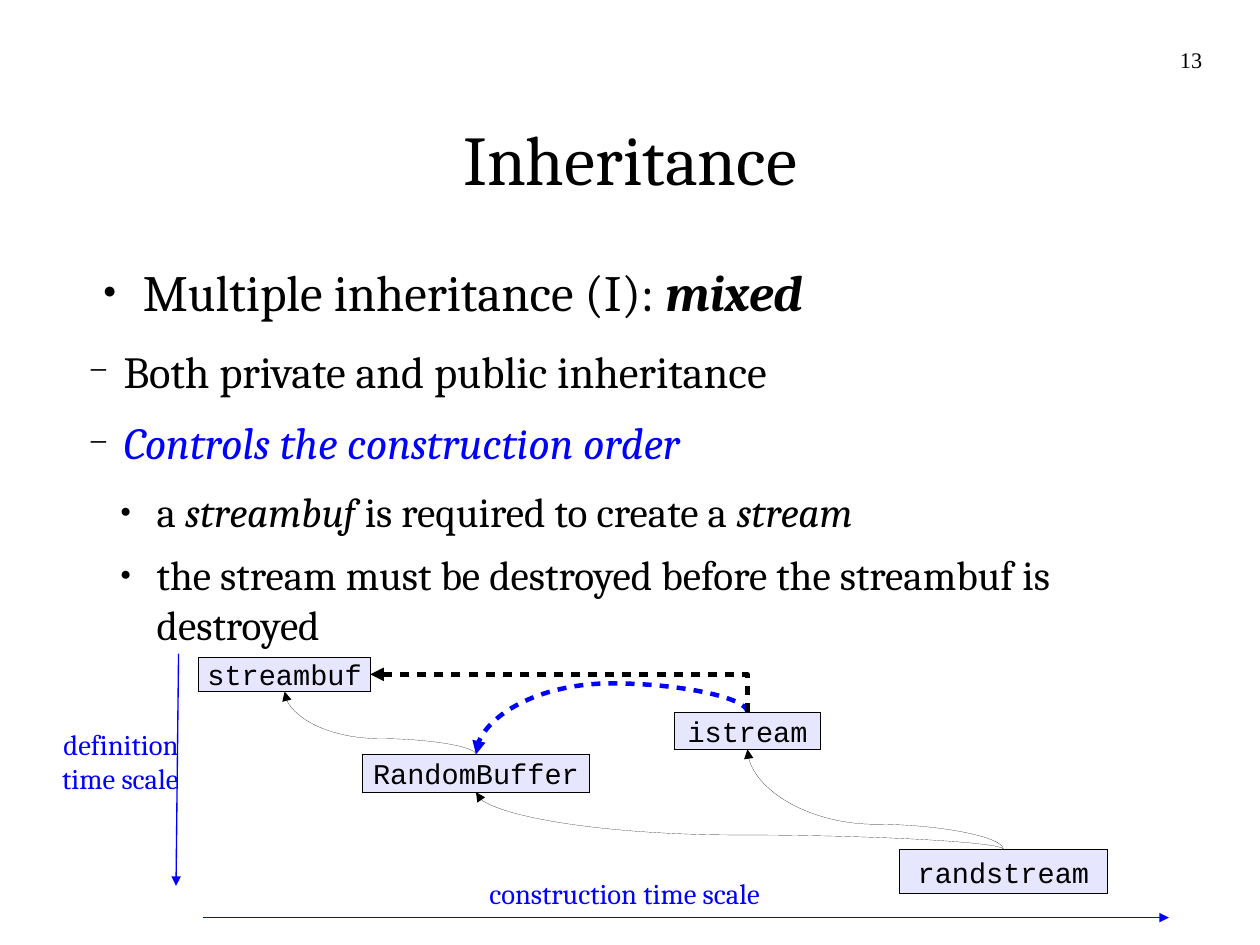
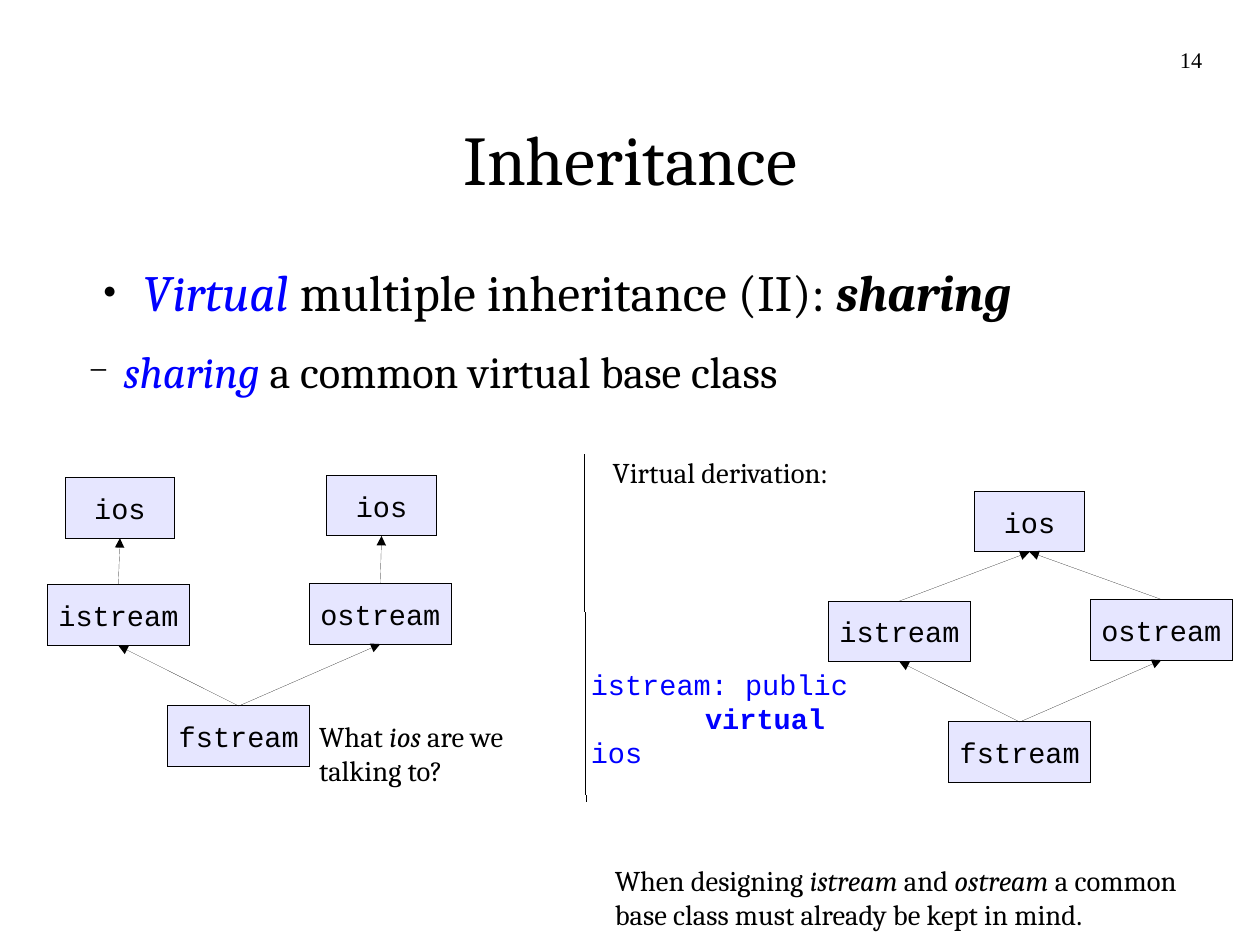
"""Build two lecture slides on multiple and virtual inheritance."""

import dataclasses
import typing

import lxml.etree
import pptx
import pptx.dml.color
import pptx.dml.line
import pptx.enum.shapes
import pptx.enum.text
import pptx.oxml.ns
import pptx.presentation
import pptx.shapes.autoshape
import pptx.shapes.connector
import pptx.slide
import pptx.text.text
import pptx.util

Pt = pptx.util.Pt
ALIGN = pptx.enum.text.PP_ALIGN
ANCHOR = pptx.enum.text.MSO_ANCHOR
CONNECTOR = pptx.enum.shapes.MSO_CONNECTOR

COLOURS = {"text": "000000", "accent": "0000FF", "box": "E6E6FF"}
SERIF, MONO, PLAIN = "Cambria", "Courier New", "Times New Roman"
TOP, BOTTOM = 0, 2


@dataclasses.dataclass(frozen=True)
class Run:
    """A stretch of text with its own emphasis."""
    text: str
    italic: bool = False
    bold: bool = False
    colour: str | None = None


@dataclasses.dataclass(frozen=True)
class Level:
    """The look of one outline level."""
    size: float
    margin: float
    indent: float
    space_after: float
    bullet: str
    bullet_percent: int


@dataclasses.dataclass(frozen=True)
class Item:
    """One bulleted line of the outline."""
    level: Level
    runs: tuple[Run, ...]


@dataclasses.dataclass(frozen=True)
class Box:
    """A class box with its name."""
    name: str
    left: float
    top: float
    width: float
    height: float = 38.2


Point = tuple[float, float]
Lines = typing.Sequence[typing.Sequence[Run]]

TOPIC = Level(32, 33.8, -25.2, 14.1, "●", 45)
POINT = Level(28, 21.6, -21.6, 11.3, "−", 75)
DETAIL = Level(26, 42.5, -23, 8.5, "●", 45)


def rgb(colour: str) -> pptx.dml.color.RGBColor:
    """Look up a named colour."""
    return pptx.dml.color.RGBColor.from_string(COLOURS[colour])


def add_child(parent: typing.Any, tag: str, **attributes: str) -> typing.Any:
    """Append a drawing element to its parent."""
    return lxml.etree.SubElement(parent, pptx.oxml.ns.qn(tag), attributes)


def write_text(frame: pptx.text.text.TextFrame, lines: Lines, *, size: float = 18,
               font: str = SERIF, colour: str = "text", align: ALIGN = ALIGN.LEFT,
               anchor: ANCHOR = ANCHOR.TOP, wrap: bool = False) -> None:
    """Fill a text frame with formatted lines."""
    frame.margin_left = frame.margin_right = frame.margin_top = frame.margin_bottom = 0
    frame.word_wrap = wrap
    frame.vertical_anchor = anchor
    for index, line in enumerate(lines):
        paragraph = frame.add_paragraph() if index else frame.paragraphs[0]
        paragraph.alignment = align
        for part in line:
            run = paragraph.add_run()
            run.text = part.text
            run.font.name = font
            run.font.size = Pt(size)
            run.font.bold = part.bold
            run.font.italic = part.italic
            run.font.color.rgb = rgb(part.colour or colour)


def add_text(slide: pptx.slide.Slide, place: tuple[float, float, float, float],
             lines: Lines, **style: typing.Any) -> pptx.text.text.TextFrame:
    """Add a text box and return its frame."""
    frame = slide.shapes.add_textbox(*map(Pt, place)).text_frame
    write_text(frame, lines, **style)
    return frame


def add_outline(slide: pptx.slide.Slide, items: typing.Sequence[Item]) -> None:
    """Add the bulleted body."""
    frame = add_text(slide, (56.2, 164.2, 677.5, 375), [item.runs for item in items], wrap=True)
    for paragraph, item in zip(frame.paragraphs, items):
        level = item.level
        for run in paragraph.runs:
            run.font.size = Pt(level.size)
        paragraph.space_after = Pt(level.space_after)
        properties = paragraph._p.get_or_add_pPr()
        properties.set("marL", str(int(Pt(level.margin))))
        properties.set("indent", str(int(Pt(level.indent))))
        add_child(add_child(properties, "a:buClr"), "a:srgbClr", val=COLOURS["text"])
        add_child(properties, "a:buSzPct", val=str(level.bullet_percent * 1000))
        add_child(properties, "a:buFont", typeface=PLAIN)
        add_child(properties, "a:buChar", char=level.bullet)


def style_line(line: pptx.dml.line.LineFormat, colour: str, width: float) -> typing.Any:
    """Colour a line, write its width even when zero, and return its element."""
    line.color.rgb = rgb(colour)
    element = line._get_or_add_ln()
    element.set("w", str(int(Pt(width))))
    return element


def add_box(slide: pptx.slide.Slide, box: Box) -> pptx.shapes.autoshape.Shape:
    """Draw a class box."""
    shape = slide.shapes.add_shape(pptx.enum.shapes.MSO_SHAPE.RECTANGLE, *map(
        Pt, (box.left, box.top, box.width, box.height)))
    shape.shadow.inherit = False
    shape.fill.solid()
    shape.fill.fore_color.rgb = rgb("box")
    style_line(shape.line, "text", 0)
    write_text(shape.text_frame, [[Run(box.name)]], font=MONO,
               align=ALIGN.CENTER, anchor=ANCHOR.MIDDLE)
    return shape


def add_line(slide: pptx.slide.Slide, start: Point, end: Point, *,
             kind: CONNECTOR = CONNECTOR.STRAIGHT, colour: str = "text", width: float = 0,
             dashed: bool = False, arrow: bool = True) -> pptx.shapes.connector.Connector:
    """Draw a connector, by default with an arrowhead at its end."""
    connector = slide.shapes.add_connector(kind, *map(Pt, (*start, *end)))
    outline = style_line(connector.line, colour, width)
    if dashed:
        add_child(add_child(outline, "a:custDash"), "a:ds", d="200000", sp="180000")
    if arrow:
        add_child(outline, "a:tailEnd", type="triangle")
    add_child(connector._element.spPr, "a:effectLst")
    return connector


def add_turned_line(slide: pptx.slide.Slide, start: Point, end: Point, *, preset: str,
                    bend: int | None = None, **style: typing.Any) -> None:
    """Draw a connector that leaves its start vertically and runs to the left."""
    rise, run = start[1] - end[1], start[0] - end[0]
    centre_x, centre_y = (start[0] + end[0]) / 2, (start[1] + end[1]) / 2
    half_width, half_height = abs(rise) / 2, run / 2
    kind = CONNECTOR.CURVE if preset.startswith("curved") else CONNECTOR.ELBOW
    connector = add_line(slide, (centre_x - half_width, centre_y - half_height),
                         (centre_x + half_width, centre_y + half_height), kind=kind, **style)
    properties = connector._element.spPr
    frame = properties.find(pptx.oxml.ns.qn("a:xfrm"))
    frame.set("rot", str((270 if rise > 0 else 90) * 60000))
    if rise > 0:
        frame.set("flipV", "1")
    geometry = properties.find(pptx.oxml.ns.qn("a:prstGeom"))
    geometry.set("prst", preset)
    if bend is not None:
        guides = geometry.find(pptx.oxml.ns.qn("a:avLst"))
        if guides is None:
            guides = add_child(geometry, "a:avLst")
        add_child(guides, "a:gd", name="adj1", fmla=f"val {bend}")


def derive(slide: pptx.slide.Slide, child: pptx.shapes.autoshape.Shape,
           parent: pptx.shapes.autoshape.Shape) -> None:
    """Join a derived class to its base class."""
    connector = add_line(slide, (0, 0), (0, 0))
    connector.begin_connect(child, TOP)
    connector.end_connect(parent, BOTTOM)


def add_stream_tree(slide: pptx.slide.Slide, left: float, top: float,
                    bases: typing.Sequence[Box]) -> None:
    """Draw the stream classes under one shared base or two separate ones."""
    roots = [add_box(slide, base) for base in bases]
    istream = add_box(slide, Box("istream", left, top + 1, 89.2))
    ostream = add_box(slide, Box("ostream", left + 165, top, 89.2))
    fstream = add_box(slide, Box("fstream", left + 75.8, top + 77.2, 89.2))
    for middle, root in ((istream, roots[0]), (ostream, roots[-1])):
        derive(slide, fstream, middle)
        derive(slide, middle, root)


def start_slide(presentation: pptx.presentation.Presentation, number: int,
                items: typing.Sequence[Item]) -> pptx.slide.Slide:
    """Add a slide with title, outline and page number."""
    slide = presentation.slides.add_slide(presentation.slide_layouts[6])
    add_text(slide, (58.3, 49.7, 677.5, 99.4), [[Run("Inheritance")]], size=44,
             align=ALIGN.CENTER, anchor=ANCHOR.MIDDLE, wrap=True)
    add_outline(slide, items)
    add_text(slide, (572.4, 29.2, 185, 41), [[Run(str(number))]], size=14,
             font=PLAIN, align=ALIGN.RIGHT, wrap=True)
    return slide


def build_mixed(presentation: pptx.presentation.Presentation) -> None:
    """Build the slide on mixed inheritance."""
    slide = start_slide(presentation, 13, (
        Item(TOPIC, (Run("Multiple inheritance (I): "), Run("mixed", italic=True, bold=True))),
        Item(POINT, (Run("Both private and public inheritance"),)),
        Item(POINT, (Run("Controls the construction order", italic=True, colour="accent"),)),
        Item(DETAIL, (Run("a "), Run("streambuf ", italic=True),
                      Run("is required to create a "), Run("stream", italic=True))),
        Item(DETAIL, (Run("the stream must be destroyed before the streambuf is destroyed"),)),
    ))
    streambuf = Box("streambuf", 125.3, 414, 108, 21.6)
    istream = Box("istream", 424.8, 448.6, 92.2, 23.4)
    buffer = Box("RandomBuffer", 228.2, 475.2, 143.3, 23.8)
    randstream = Box("randstream", 566.6, 535, 131, 28.1)
    for box in (streambuf, istream, buffer, randstream):
        add_box(slide, box)

    def top_of(box: Box) -> Point:
        return box.left + box.width / 2, box.top

    def bottom_of(box: Box) -> Point:
        return box.left + box.width / 2, box.top + box.height

    for child, parent in ((randstream, buffer), (randstream, istream), (buffer, streambuf)):
        add_turned_line(slide, top_of(child), bottom_of(parent),
                        preset="curvedConnector3", bend=25100)
    add_turned_line(slide, top_of(istream), top_of(buffer), preset="curvedConnector3",
                    bend=-68300, colour="accent", width=2.83, dashed=True)
    right_of_streambuf = (streambuf.left + streambuf.width, streambuf.top + streambuf.height / 2)
    add_turned_line(slide, top_of(istream), right_of_streambuf,
                    preset="bentConnector2", width=2.83, dashed=True)

    for start, end in (((112.5, 411.8), (110.9, 558)), ((128.2, 578), (736.4, 578))):
        add_line(slide, start, end, colour="accent", width=0.85)
    add_text(slide, (26.8, 457.8, 85.7, 49), [[Run("definition")], [Run("time scale")]],
             colour="accent", align=ALIGN.RIGHT)
    add_text(slide, (280, 551.5, 198.7, 24.5), [[Run("construction time scale")]],
             colour="accent", align=ALIGN.RIGHT)


def build_virtual(presentation: pptx.presentation.Presentation) -> None:
    """Build the slide on virtual inheritance."""
    slide = start_slide(presentation, 14, (
        Item(TOPIC, (Run("Virtual", italic=True, colour="accent"),
                     Run(" multiple inheritance (II): "),
                     Run("sharing", italic=True, bold=True))),
        Item(POINT, (Run("sharing ", italic=True, colour="accent"),
                     Run("a common virtual base class"))),
    ))
    add_stream_tree(slide, 30, 367.5,
                    (Box("ios", 41, 300.8, 69.1), Box("ios", 205.8, 299.4, 69.1)))
    add_stream_tree(slide, 522, 377.6, (Box("ios", 614, 309.5, 69.1),))
    add_line(slide, (368, 286.6), (369.2, 504.7), arrow=False)
    add_text(slide, (201, 452.8, 143.3, 49), [
        [Run("What "), Run("ios", italic=True), Run(" are we")], [Run("talking to?")]])
    add_text(slide, (386, 286.6, 159, 24.5), [[Run("Virtual derivation:")]])
    code = add_text(slide, (372.2, 419.8, 165, 63), [
        [Run("istream: public")], [Run("\t"), Run("virtual", bold=True), Run(" ios")]],
        font=MONO, colour="accent", wrap=True)
    tabs = add_child(code.paragraphs[1]._p.get_or_add_pPr(), "a:tabLst")
    add_child(tabs, "a:tab", pos=str(int(Pt(72))), algn="l")
    add_text(slide, (387.3, 543.4, 404.6, 49), [
        [Run("When designing "), Run("istream ", italic=True), Run("and "),
         Run("ostream ", italic=True), Run("a common")],
        [Run("base class must already be kept in mind.")]])


def main() -> None:
    """Build and save the presentation."""
    presentation = pptx.Presentation()
    presentation.slide_width, presentation.slide_height = Pt(793.75), Pt(595.25)
    build_mixed(presentation)
    build_virtual(presentation)
    presentation.save("out.pptx")


if __name__ == "__main__":
    main()
